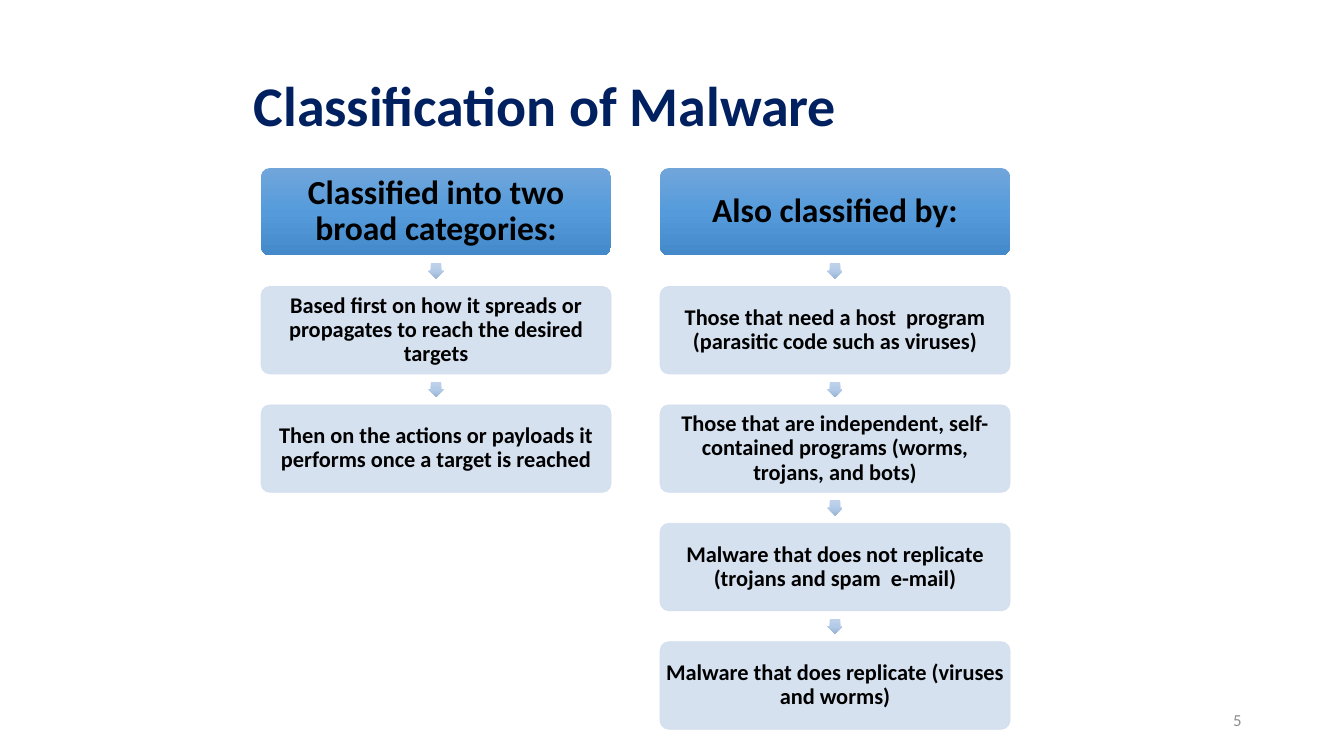
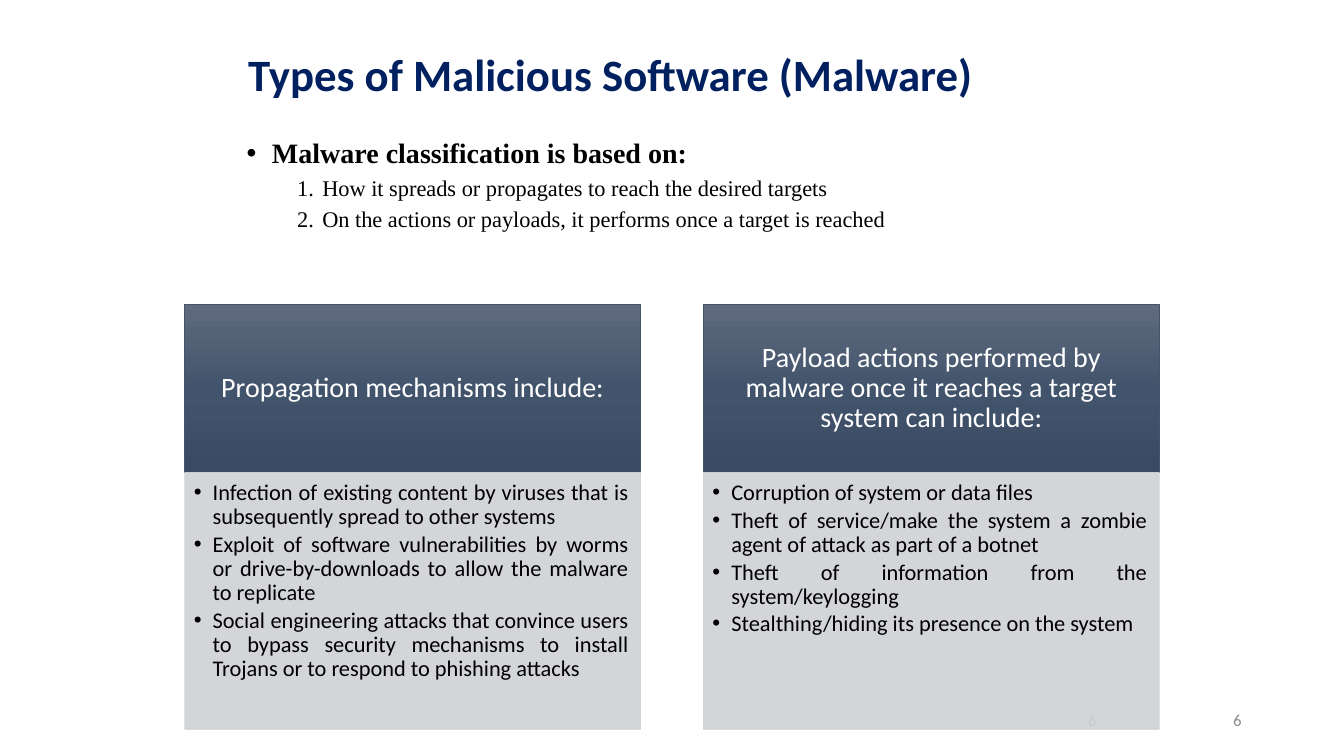
from copy import deepcopy

from lxml import etree
from pptx import Presentation
from pptx.dml.color import RGBColor
from pptx.enum.shapes import MSO_SHAPE
from pptx.enum.text import MSO_ANCHOR, MSO_AUTO_SIZE, PP_ALIGN
from pptx.oxml.ns import qn
from pptx.util import Pt

LEFT, CENTER, RIGHT, JUSTIFY = PP_ALIGN.LEFT, PP_ALIGN.CENTER, PP_ALIGN.RIGHT, PP_ALIGN.JUSTIFY
TOP, MIDDLE = MSO_ANCHOR.TOP, MSO_ANCHOR.MIDDLE
RECT, ROUNDED, ARROW = MSO_SHAPE.RECTANGLE, MSO_SHAPE.ROUNDED_RECTANGLE, MSO_SHAPE.DOWN_ARROW
TITLE_ONLY, TITLE_AND_BODY = 5, 1

COLORS = {
    "title": "002060", "text": "000000", "light_text": "FFFFFF", "number": "8C8C8C",
    "step": "D2DEEF", "panel": "CFD1D4", "panel_edge": "44546A",
}
GRADIENTS = {
    "header": ("71A6DB", "559BDB", "448ACA"),
    "arrow": ("C0D2EB", "B3CBE9", "9BB4D3"),
    "panel_header": ("606B7D", "42546C", "394A62"),
}


def rgb(name):
    return RGBColor.from_string(COLORS[name])


class Slides:
    """Holds the deck, its style and the current page; lengths are in points."""

    font = "Calibri"
    serif = "Times New Roman"

    def __init__(self):
        self.deck = Presentation()
        self.deck.slide_width, self.deck.slide_height = Pt(960), Pt(540)
        self.page = None

    def new_page(self, layout, title, place, size):
        self.page = self.deck.slides.add_slide(self.deck.slide_layouts[layout])
        box = self.page.shapes.title
        self.move(box, place)
        frame = self.frame(box, MIDDLE)
        self.set_text(frame.paragraphs[0], title, size, "title", bold=True)

    def move(self, box, place):
        box.left, box.top, box.width, box.height = (Pt(length) for length in place)

    def frame(self, box, anchor, margins=(7.2, 3.6, 7.2, 3.6)):
        frame = box.text_frame
        frame.word_wrap = True
        frame.auto_size = MSO_AUTO_SIZE.NONE
        frame.vertical_anchor = anchor
        (frame.margin_left, frame.margin_top,
         frame.margin_right, frame.margin_bottom) = (Pt(margin) for margin in margins)
        return frame

    def set_text(self, para, text, size, color="text", bold=False, align=LEFT,
                 font=None, before=0, after=0):
        para.text = text
        para.alignment = align
        para.line_spacing = 0.9
        para.space_before, para.space_after = Pt(before), Pt(after)
        para.font.name = font or self.font
        para.font.size = Pt(size)
        para.font.bold = bold
        para.font.color.rgb = rgb(color)

    def bullet(self, para, margin, hanging, numbered=False):
        props = para._p.get_or_add_pPr()
        props.set("marL", str(Pt(margin)))
        props.set("indent", str(-Pt(hanging)))
        if numbered:
            etree.SubElement(props, qn("a:buAutoNum"), type="arabicPeriod")
        else:
            etree.SubElement(props, qn("a:buFont"), typeface="Arial")
            etree.SubElement(props, qn("a:buChar"), char="•")

    def body(self, place, lead, points):
        box = self.page.placeholders[1]
        self.move(box, place)
        frame = self.frame(box, TOP)
        para = frame.paragraphs[0]
        self.bullet(para, 18, 18)
        self.set_text(para, lead, 20, bold=True, font=self.serif)
        for point in points:
            para = frame.add_paragraph()
            para.level = 1
            self.bullet(para, 54, 18, numbered=True)
            self.set_text(para, point, 16, font=self.serif, before=5)

    def number(self, text, right):
        width = 216
        box = self.page.shapes.add_textbox(Pt(right - width), Pt(500.5), Pt(width), Pt(28.75))
        frame = self.frame(box, MIDDLE)
        self.set_text(frame.paragraphs[0], text, 12, "number", align=RIGHT)

    def shape(self, kind, place, gradient=None, color=None, edge=None):
        shape = self.page.shapes.add_shape(kind, *(Pt(length) for length in place))
        shape.shadow.inherit = False
        if edge:
            shape.line.color.rgb = rgb(edge)
            shape.line.width = Pt(0.5)
        else:
            shape.line.fill.background()
        if gradient:
            self.shade(shape, GRADIENTS[gradient])
        else:
            shape.fill.solid()
            shape.fill.fore_color.rgb = rgb(color)
            for tone in shape._element.spPr.iter(qn("a:srgbClr")):
                etree.SubElement(tone, qn("a:alpha"), val="90000")
        return shape

    def shade(self, shape, tones):
        shape.fill.gradient()
        shape.fill.gradient_angle = 270
        stops = shape._element.spPr.find(".//" + qn("a:gsLst"))
        stops.insert(1, deepcopy(stops[0]))
        for stop, tone, position in zip(shape.fill.gradient_stops, tones, (0, 0.5, 1)):
            stop.color.rgb = RGBColor.from_string(tone)
            stop.position = position

    def step_column(self, left, header, steps):
        top, width, height, gap, arrow = 120, 250, 62.5, 22.1, 11
        for row, text in enumerate([header, *steps]):
            y = top + row * (height + gap)
            place = (left, y, width, height)
            if row == 0:
                box = self.shape(ROUNDED, place, gradient="header")
            else:
                self.shape(ARROW, (left + (width - arrow) / 2, y - (gap + arrow) / 2,
                                   arrow, arrow), gradient="arrow").adjustments[0] = 0.67
                box = self.shape(ROUNDED, place, color="step", edge="step")
            box.adjustments[0] = 0.1
            frame = self.frame(box, MIDDLE, (1.5,) * 4)
            self.set_text(frame.paragraphs[0], text, 16 if row else 24, bold=True, align=CENTER)

    def panel(self, left, header, points):
        top, width, head_height, list_height = 217.5, 325.5, 120, 183.5
        head = self.shape(RECT, (left, top, width, head_height),
                          gradient="panel_header", edge="panel_edge")
        frame = self.frame(head, MIDDLE, (11.2, 6.4, 11.2, 6.4))
        self.set_text(frame.paragraphs[0], header, 20, "light_text", align=CENTER)
        box = self.shape(RECT, (left, top + head_height, width, list_height),
                         color="panel", edge="panel")
        frame = self.frame(box, TOP, (6.4, 6.4, 8.5, 9.6))
        for index, point in enumerate(points):
            para = frame.add_paragraph() if index else frame.paragraphs[0]
            self.bullet(para, 13.5, 13.5)
            self.set_text(para, point, 16, align=JUSTIFY, after=2.4)


def main():
    slides = Slides()

    # Classification in two columns of steps
    slides.new_page(TITLE_ONLY, "Classification of Malware", (174, 54, 648, 47), 40)
    columns = [
        ("Classified into two broad categories:", [
            "Based first on how it spreads or propagates to reach the desired targets",
            "Then on the actions or payloads it performs once a target is reached",
        ]),
        ("Also classified by:", [
            "Those that need a host  program (parasitic code such as viruses)",
            "Those that are independent, self-contained programs (worms, trojans, and bots)",
            "Malware that does not replicate (trojans and spam  e-mail)",
            "Malware that does replicate (viruses and worms)",
        ]),
    ]
    for index, (header, steps) in enumerate(columns):
        slides.step_column(186.5 + index * 285, header, steps)
    slides.number("5", 894)

    # Types, with a list above two panels
    slides.new_page(TITLE_AND_BODY, "Types of Malicious Software (Malware)",
                    (170, 26, 728, 58), 32)
    slides.body((169, 96, 624, 366), "Malware classification is based on:", [
        "How it spreads or propagates to reach the desired targets",
        "On the actions or payloads, it performs once a target is reached",
    ])
    # The second number shows faintly through the right panel
    for right in (894, 790.5):
        slides.number("6", right)
    panels = [
        ("Propagation mechanisms include:", [
            "Infection of existing content by viruses that is subsequently spread to other systems",
            "Exploit of software vulnerabilities by worms or drive-by-downloads "
            "to allow the malware to replicate",
            "Social engineering attacks that convince users to bypass security mechanisms "
            "to install Trojans or to respond to phishing attacks",
        ]),
        ("Payload actions performed by malware once it reaches a target system can include:", [
            "Corruption of system or data files",
            "Theft of service/make the system a zombie agent of attack as part of a botnet",
            "Theft of information from the system/keylogging",
            "Stealthing/hiding its presence on the system",
        ]),
    ]
    for index, (header, points) in enumerate(panels):
        slides.panel(132 + index * 370.5, header, points)

    slides.deck.save("out.pptx")


if __name__ == "__main__":
    main()
